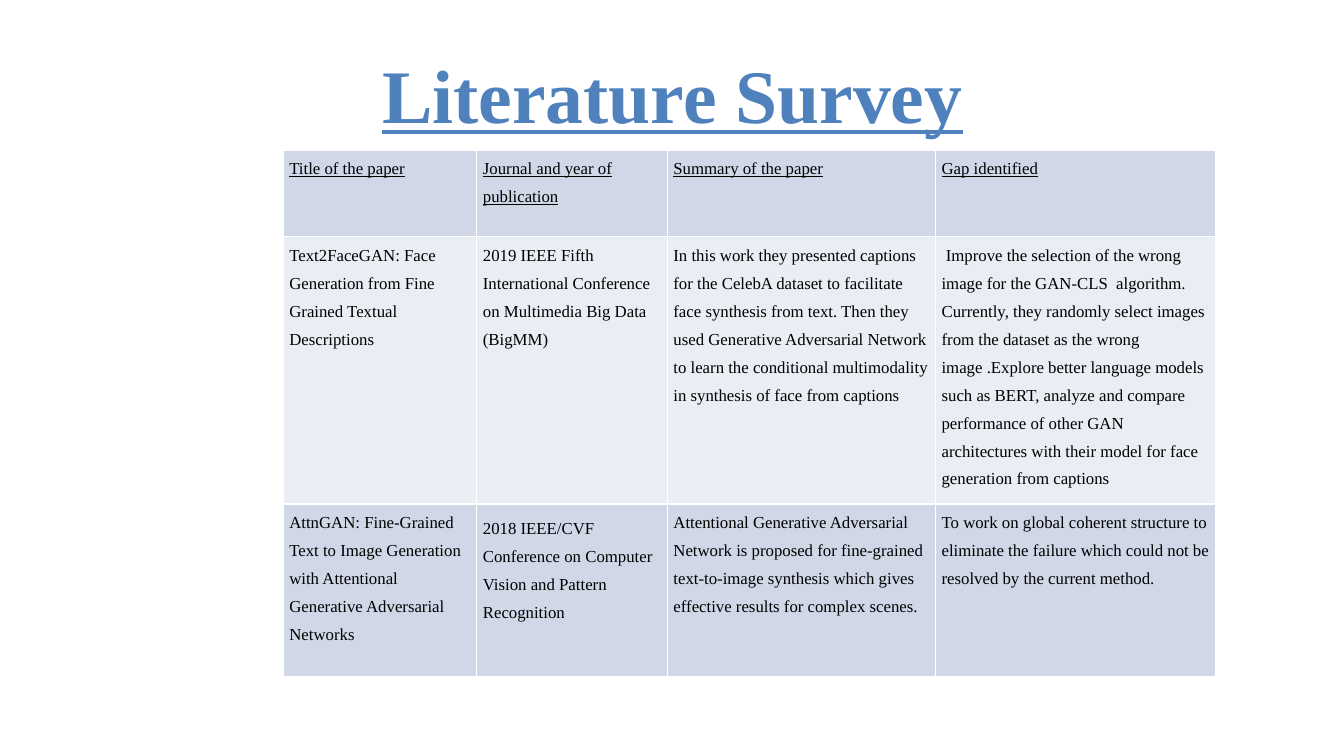
from lxml.etree import SubElement
from pptx import Presentation
from pptx.dml.color import RGBColor
from pptx.enum.text import MSO_ANCHOR, PP_ALIGN
from pptx.oxml.ns import qn
from pptx.util import Inches, Pt

BLUE = RGBColor(0x4F, 0x81, 0xBD)
BLACK = RGBColor(0, 0, 0)
WHITE = RGBColor(0xFF, 0xFF, 0xFF)
BAND_DARK = RGBColor(0xD0, 0xD8, 0xE8)
BAND_LIGHT = RGBColor(0xE9, 0xED, 0xF4)

TITLE_FONT = {"name": "Times New Roman", "size": Pt(54), "bold": True, "underline": True}
BODY_FONT = {"name": "Times New Roman", "size": Pt(12), "bold": False, "underline": False}
HEADER_FONT = {**BODY_FONT, "underline": True}
PARAGRAPH_FORMAT = {"line_spacing": 1.5, "space_after": Pt(3)}

COLUMN_WIDTHS = [1.92, 1.89, 2.66, 2.78]
ROW_HEIGHTS = [0.86, 2.65, 1.71]
SIDE_MARGIN = 0.06
PADDED_CELL = (2, 1)  # the one cell with a margin above and below

SURVEY = [
    ["Title of the paper", "Journal and year of publication",
     "Summary of the paper", "Gap identified"],
    ["Text2FaceGAN: Face Generation from Fine Grained Textual Descriptions",
     "2019 IEEE Fifth International Conference on Multimedia Big Data (BigMM)",
     "In this work they presented captions for the CelebA dataset to facilitate face "
     "synthesis from text. Then they used Generative Adversarial Network to learn the "
     "conditional multimodality in synthesis of face from captions",
     " Improve the selection of the wrong image for the GAN-CLS  algorithm. Currently, "
     "they randomly select images from the dataset as the wrong image .Explore better "
     "language models such as BERT, analyze and compare performance of other GAN "
     "architectures with their model for face generation from captions"],
    ["AttnGAN: Fine-Grained Text to Image Generation with Attentional Generative "
     "Adversarial Networks",
     "2018 IEEE/CVF Conference on Computer Vision and Pattern Recognition",
     "Attentional Generative Adversarial Network is proposed for fine-grained "
     "text-to-image synthesis which gives effective results for complex scenes.",
     "To work on global coherent structure to eliminate the failure which could not be "
     "resolved by the current method."],
]


def apply_format(target, values):
    for name, value in values.items():
        setattr(target, name, value)


def write_text(paragraph, text, font_format, color):
    run = paragraph.add_run()
    run.text = text
    apply_format(run.font, font_format)
    run.font.color.rgb = color


def set_borders(cell):
    properties = cell._tc.get_or_add_tcPr()
    for side in ("a:lnL", "a:lnR", "a:lnT", "a:lnB"):
        line = SubElement(properties, qn(side), w=str(Pt(1)))
        fill = SubElement(line, qn("a:solidFill"))
        SubElement(fill, qn("a:srgbClr"), val=str(WHITE))


def format_title(slide):
    title = slide.shapes.title
    apply_format(title, {"left": Inches(0.67), "top": Inches(0.3),
                         "width": Inches(12), "height": Inches(1.25)})
    title.text_frame.vertical_anchor = MSO_ANCHOR.MIDDLE
    paragraph = title.text_frame.paragraphs[0]
    paragraph.alignment = PP_ALIGN.CENTER
    write_text(paragraph, "Literature Survey", TITLE_FONT, BLUE)


def fill_cell(cell, text, font_format, band, vertical_margin):
    set_borders(cell)
    cell.fill.solid()
    cell.fill.fore_color.rgb = band
    apply_format(cell, {"margin_left": Inches(SIDE_MARGIN),
                        "margin_right": Inches(SIDE_MARGIN),
                        "margin_top": Inches(vertical_margin),
                        "margin_bottom": Inches(vertical_margin)})
    paragraph = cell.text_frame.paragraphs[0]
    apply_format(paragraph, PARAGRAPH_FORMAT)
    write_text(paragraph, text, font_format, BLACK)


def add_survey_table(slide):
    table = slide.shapes.add_table(
        len(ROW_HEIGHTS), len(COLUMN_WIDTHS), Inches(2.81), Inches(1.49),
        Inches(sum(COLUMN_WIDTHS)), Inches(sum(ROW_HEIGHTS))).table
    apply_format(table, {"first_row": False, "horz_banding": False})
    for column, width in zip(table.columns, COLUMN_WIDTHS):
        column.width = Inches(width)
    for row, height in zip(table.rows, ROW_HEIGHTS):
        row.height = Inches(height)

    # Header underlined, row colours alternating
    for row_index, texts in enumerate(SURVEY):
        font_format = BODY_FONT if row_index else HEADER_FONT
        band = BAND_LIGHT if row_index % 2 else BAND_DARK
        for column_index, text in enumerate(texts):
            position = (row_index, column_index)
            vertical_margin = SIDE_MARGIN if position == PADDED_CELL else 0
            fill_cell(table.cell(*position), text, font_format, band, vertical_margin)


def main():
    presentation = Presentation()
    presentation.slide_width = Inches(13.33)
    presentation.slide_height = Inches(7.5)
    # Title Only layout
    slide = presentation.slides.add_slide(presentation.slide_layouts[5])
    format_title(slide)
    add_survey_table(slide)
    presentation.save("out.pptx")


if __name__ == "__main__":
    main()
